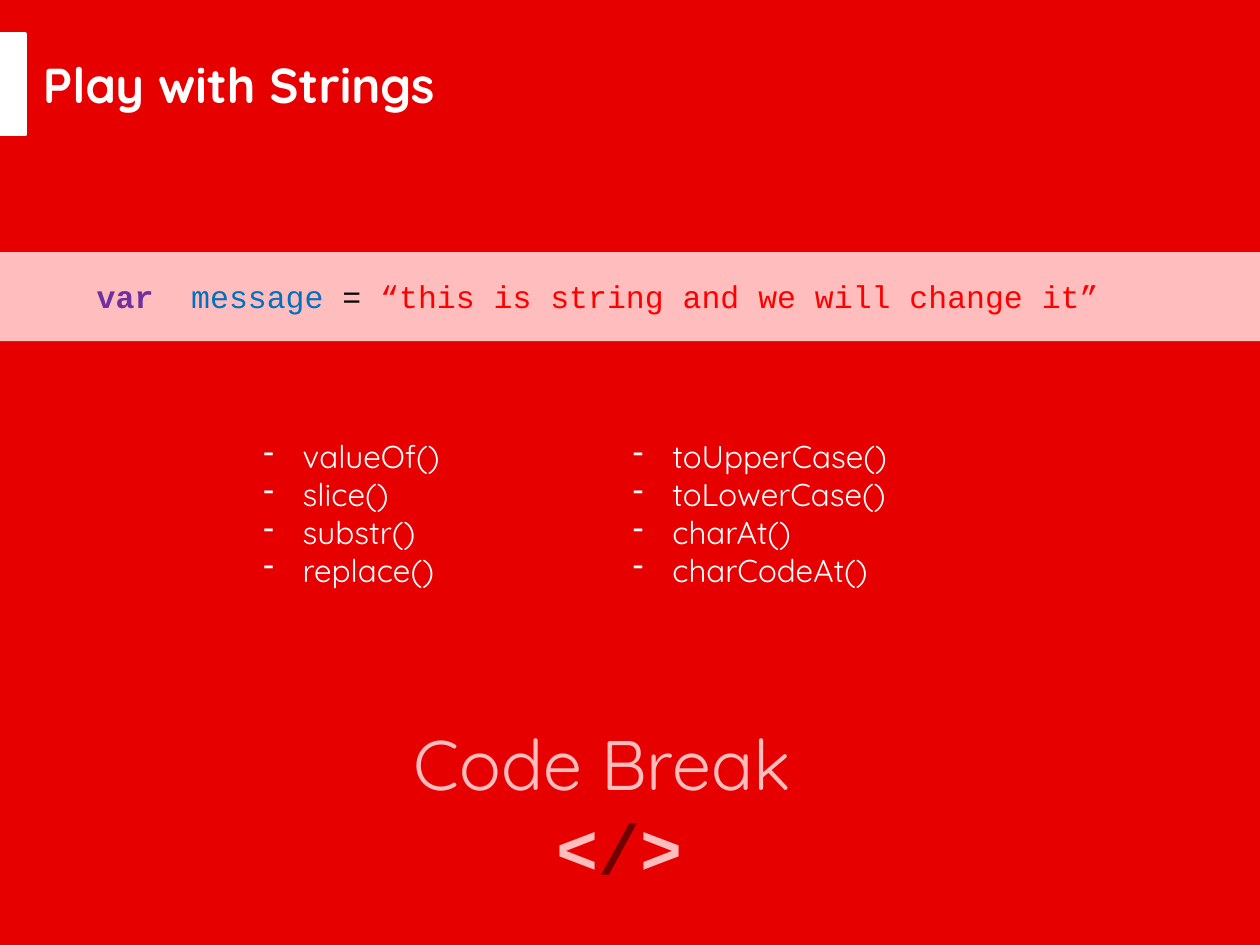
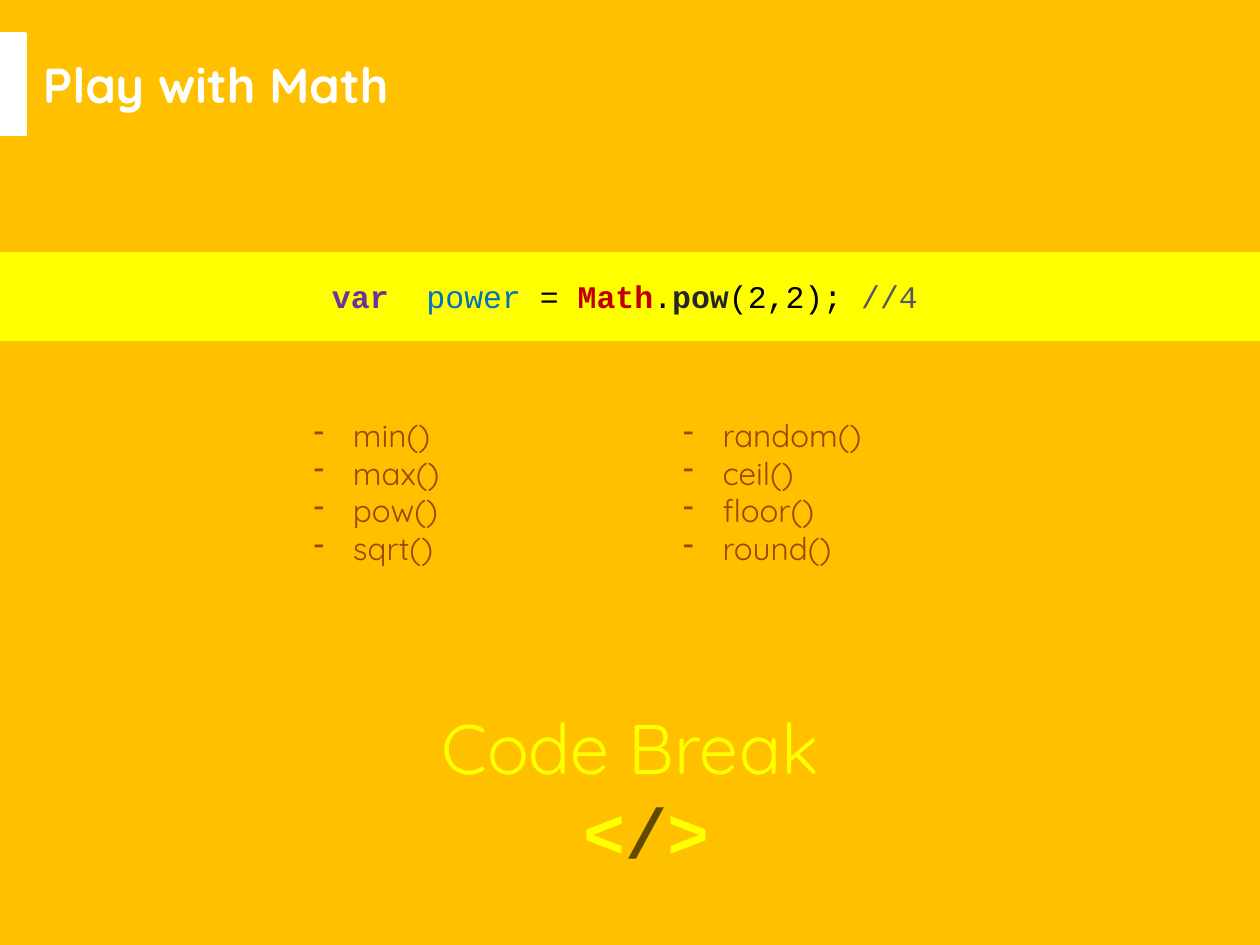
from lxml.etree import SubElement
from pptx import Presentation
from pptx.dml.color import RGBColor
from pptx.enum.shapes import MSO_SHAPE
from pptx.enum.text import MSO_ANCHOR, MSO_AUTO_SIZE, PP_ALIGN as Align
from pptx.oxml.ns import qn
from pptx.util import Pt

HEADING_FONT = "Quicksand"
CODE_FONT = "Courier New"
WHITE, BLACK = "FFFFFF", "000000"
KEYWORD, VARIABLE = "7030A0", "0070C0"
LIST_STEP = 211.2
LIST_INDENT = 22.5

LESSONS = [
    {
        "title": "Play with Strings",
        "background": "E60000", "accent": "FFBDBD", "slash": "700000", "list_color": WHITE,
        "code_align": Align.LEFT,
        "code": [
            ("var  ", KEYWORD, True), ("message", VARIABLE, False), (" = ", BLACK, False),
            ("“this is string and we will change it”", "FF0000", False),
        ],
        "methods": [
            ["valueOf()", "slice()", "substr()", "replace()"],
            ["toUpperCase()", "toLowerCase()", "charAt()", "charCodeAt()"],
        ],
        "list_at": (143.3, 246.2),
        "break_at": (143.3, 408.2),
    },
    {
        "title": "Play with Math",
        "background": "FFC000", "accent": "FFFF00", "slash": "604900", "list_color": "984807",
        "code_align": Align.CENTER,
        "code": [
            ("var  ", KEYWORD, True), ("power", VARIABLE, False), (" = ", BLACK, False),
            ("Math", "C00000", True), (".", BLACK, False), ("pow", "262626", True),
            ("(2,2); ", BLACK, False), ("//4", "595959", False),
        ],
        "methods": [
            ["min()", "max()", "pow()", "sqrt()"],
            ["random()", "ceil()", "floor()", "round()"],
        ],
        "list_at": (172, 234),
        "break_at": (159.1, 398.9),
    },
]


def rgb(hex_color):
    return RGBColor.from_string(hex_color)


def add_styled_run(paragraph, text, font_name, size, color, bold=False):
    run = paragraph.add_run()
    run.text = text
    run.font.name = font_name
    run.font.size = Pt(size)
    run.font.bold = bold
    run.font.color.rgb = rgb(color)


prs = Presentation()
prs.slide_width, prs.slide_height = Pt(720), Pt(540)
two_content = prs.slide_layouts[3]

for lesson in LESSONS:
    slide = prs.slides.add_slide(two_content)
    slide.background.fill.solid()
    slide.background.fill.fore_color.rgb = rgb(lesson["background"])
    accent = lesson["accent"]

    # Code band and title marker
    for top, width, height, color in [(144, 720, 51), (19.4, 14.4, 57.6)] and [
        (144, 720, 51, accent), (19.4, 14.4, 57.6, WHITE),
    ]:
        bar = slide.shapes.add_shape(MSO_SHAPE.RECTANGLE, 0, Pt(top), Pt(width), Pt(height))
        bar.shadow.inherit = False
        bar.fill.solid()
        bar.fill.fore_color.rgb = rgb(color)
        bar.line.fill.background()
    bar.line.color.rgb = rgb(WHITE)
    bar.line.width = Pt(2)

    # Title
    title = slide.shapes.title
    title.left, title.top, title.width, title.height = Pt(17.3), Pt(27.4), Pt(252), Pt(41)
    title.text_frame.auto_size = MSO_AUTO_SIZE.NONE
    title.text_frame.vertical_anchor = MSO_ANCHOR.TOP
    heading = title.text_frame.paragraphs[0]
    heading.alignment = Align.LEFT
    add_styled_run(heading, lesson["title"], HEADING_FONT, 28, WHITE, True)

    # Code line
    code_box = slide.shapes.add_textbox(Pt(48.2), Pt(154.8), Pt(617.8), Pt(29))
    code_box.text_frame.word_wrap = True
    code_line = code_box.text_frame.paragraphs[0]
    code_line.alignment = lesson["code_align"]
    for text, color, bold in lesson["code"]:
        add_styled_run(code_line, text, CODE_FONT, 18, color, bold)

    # Code break
    left, top = lesson["break_at"]
    break_box = slide.shapes.add_textbox(Pt(left), Pt(top), Pt(401.8), Pt(104.4))
    break_box.text_frame.word_wrap = True
    caption = break_box.text_frame.paragraphs[0]
    tag = break_box.text_frame.add_paragraph()
    caption.alignment = tag.alignment = Align.CENTER
    add_styled_run(caption, "Code Break", HEADING_FONT, 40, accent)
    add_styled_run(tag, " ", CODE_FONT, 32, accent)
    for symbol, color in [("<", accent), ("/", lesson["slash"]), (">", accent)]:
        add_styled_run(tag, symbol, CODE_FONT, 40, color, True)

    # Method lists
    left, top = lesson["list_at"]
    for column, methods in enumerate(lesson["methods"]):
        method_list = slide.placeholders[column + 1]
        method_list.left, method_list.top = Pt(left + column * LIST_STEP), Pt(top)
        method_list.width, method_list.height = Pt(175), Pt(94.3)
        frame = method_list.text_frame
        frame.auto_size = MSO_AUTO_SIZE.NONE
        frame.text = "\n".join(methods)
        for item in frame.paragraphs:
            item.space_before = Pt(0)
            item.font.name = HEADING_FONT
            for run in item.runs:
                run.font.name = HEADING_FONT
                run.font.size = Pt(18)
                run.font.color.rgb = rgb(lesson["list_color"])
            properties = item._p.get_or_add_pPr()
            properties.set("marL", str(Pt(LIST_INDENT)))
            properties.set("indent", str(-Pt(LIST_INDENT)))
            default_run = properties.find(qn("a:defRPr"))
            properties.remove(default_run)
            SubElement(properties, qn("a:buFontTx"))
            SubElement(properties, qn("a:buChar")).set("char", "-")

prs.save("out.pptx")
